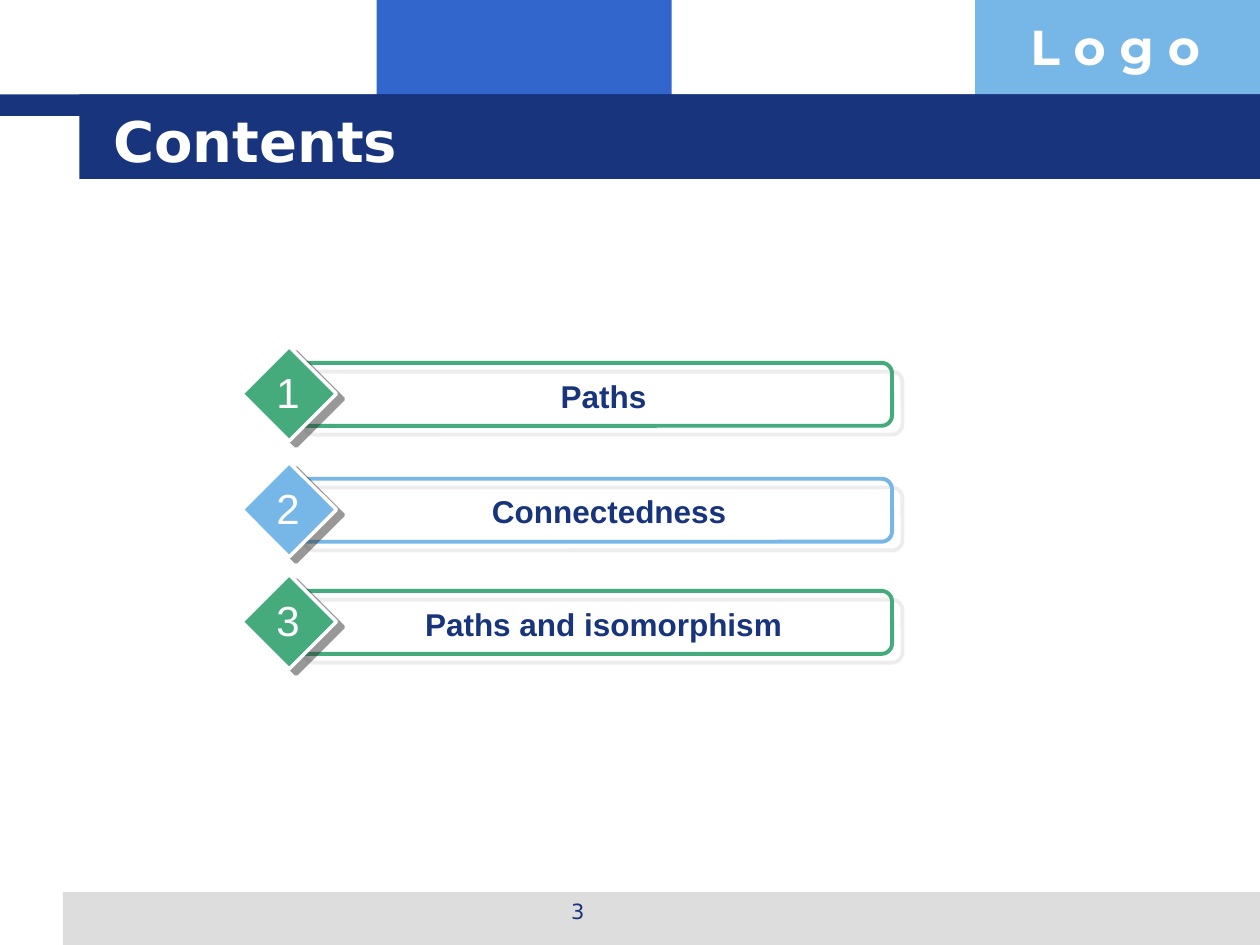
from lxml import etree
from pptx import Presentation
from pptx.dml.color import RGBColor
from pptx.enum.shapes import MSO_SHAPE as Shape
from pptx.enum.text import MSO_ANCHOR as Anchor, PP_ALIGN as Align
from pptx.oxml.ns import qn
from pptx.util import Inches, Pt

COLORS = {
    "navy": "17347D",
    "blue": "3366CC",
    "sky": "77B7E7",
    "green": "45AB7D",
    "gray": "DDDDDD",
    "dark": "333333",
    "white": "FFFFFF",
}


def color(name):
    return RGBColor.from_string(COLORS[name])


def add_shape(page, kind, box, fill=None, line=None, width=1):
    shape = page.shapes.add_shape(kind, *map(Inches, box))
    if fill:
        shape.fill.solid()
        shape.fill.fore_color.rgb = color(fill)
    else:
        shape.fill.background()
    if line:
        shape.line.color.rgb = color(line)
        shape.line.width = Pt(width)
    else:
        shape.line.fill.background()
    shape.shadow.inherit = False
    return shape


def add_shadow(shape, name, distance, degrees):
    """Cast a sharp, half transparent shadow."""
    effects = shape._element.spPr.find(qn("a:effectLst"))
    shadow = etree.SubElement(
        effects, qn("a:outerShdw"), blurRad="0", dist=str(Pt(distance)),
        dir=str(degrees * 60000), algn="ctr", rotWithShape="0")
    tint = etree.SubElement(shadow, qn("a:srgbClr"), val=COLORS[name])
    etree.SubElement(tint, qn("a:alpha"), val="50000")


def add_text(page, box, text, ink, align=Align.LEFT, anchor=Anchor.TOP,
             wrap=True, **font):
    frame = page.shapes.add_textbox(*map(Inches, box)).text_frame
    frame.word_wrap = wrap
    frame.vertical_anchor = anchor
    para = frame.paragraphs[0]
    para.alignment = align
    span = para.add_run()
    span.text = text
    span.font.color.rgb = color(ink)
    for key, value in font.items():
        setattr(span.font, key, value)


def add_header(page, box):
    left, top, width, height = box
    band_top, band_height = top + 0.75, height - 0.75
    # Color blocks, then the stepped title band in front of them
    for block_left, block_width, fill in ((2.99, 2.34, "blue"), (7.74, 2.26, "sky")):
        add_shape(page, Shape.RECTANGLE,
                  (left + block_left, top, block_width, 0.92), fill)
    for inset, bar_height in ((0, 0.17), (0.63, band_height)):
        add_shape(page, Shape.RECTANGLE,
                  (left + inset, band_top, width - inset, bar_height), "navy")
    add_text(page, (left + 8.08, top + 0.08, 1.93, 0.57), "L o g o", "white",
             name="Montserrat", size=Pt(28), bold=True)
    add_text(page, (left + 0.8, top + 0.8, 8.53, 0.62), "Contents", "white",
             anchor=Anchor.MIDDLE, name="DejaVu Sans", size=Pt(32), bold=True)


def add_footer(page, box, number):
    left, top = box[:2]
    add_shape(page, Shape.RECTANGLE, box, "gray")
    add_text(page, (left + 2.92, top, 2.33, 0.35), number, "navy",
             align=Align.CENTER, name="DejaVu Sans", size=Pt(12))


def add_entry(page, box, number, label, accent, label_inset):
    left, top, width, height = box
    # Outlined bar
    bar = add_shape(page, Shape.ROUNDED_RECTANGLE,
                    (left + 0.41, top + 0.13, width - 0.41, 0.5),
                    line=accent, width=2.25)
    bar.adjustments[0] = 0.167
    add_shadow(bar, "gray", 7.8, 40)
    # Numbered diamond
    diamond = add_shape(page, Shape.DIAMOND, (left, top, height, height),
                        accent, "white", 2)
    add_shadow(diamond, "dark", 5, 37)
    # Label and number
    add_text(page, (left + label_inset, top + 0.19, width - label_inset - 0.08, 0.4),
             label, "navy", align=Align.CENTER, name="Arial", size=Pt(18), bold=True)
    add_text(page, (left + 0.17, top + 0.11, 0.39, 0.5), number, "white",
             align=Align.CENTER, wrap=False, name="Arial", size=Pt(24))


def main():
    deck = Presentation()
    deck.slide_width, deck.slide_height = Inches(10), Inches(7.5)
    page = deck.slides.add_slide(deck.slide_layouts[6])

    add_header(page, (0, 0, 10, 1.42))
    add_footer(page, (0.5, 7.08, 9.5, 0.42), "3")
    entries = (
        (2.75, "Paths", "green", 0.66),
        (3.67, "Connectedness", "sky", 0.75),
        (4.56, "Paths and isomorphism", "green", 0.66),
    )
    for number, (top, label, accent, inset) in enumerate(entries, 1):
        add_entry(page, (1.92, top, 5.16, 0.75), str(number), label, accent, inset)

    deck.save("out.pptx")


if __name__ == "__main__":
    main()
